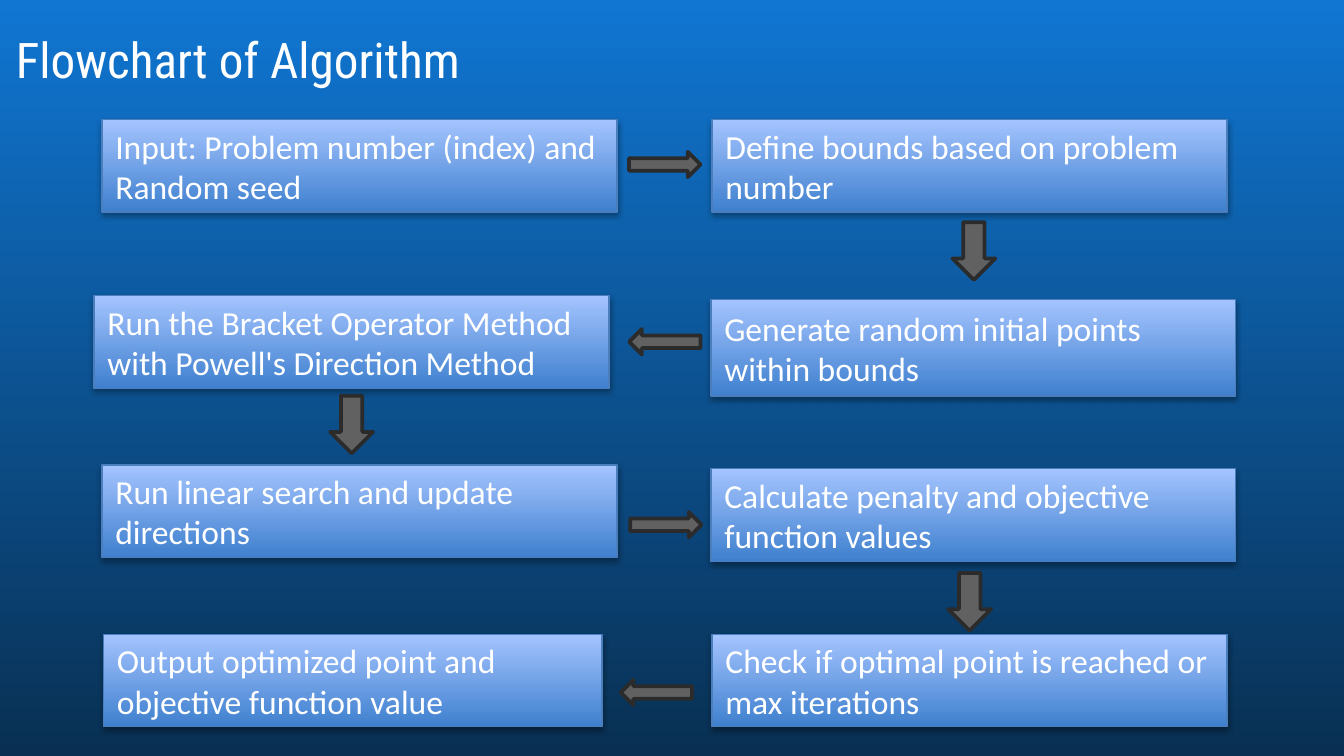
from lxml import etree
from pptx import Presentation
from pptx.dml.color import RGBColor
from pptx.enum.shapes import MSO_SHAPE
from pptx.enum.text import MSO_ANCHOR, PP_ALIGN
from pptx.oxml.ns import qn
from pptx.util import Cm, Pt

RECTANGLE = MSO_SHAPE.RECTANGLE
RIGHT_ARROW = MSO_SHAPE.RIGHT_ARROW
MIDDLE = MSO_ANCHOR.MIDDLE
BOTTOM = MSO_ANCHOR.BOTTOM
LEFT = PP_ALIGN.LEFT
CENTER = PP_ALIGN.CENTER

COLORS = {
    "background_top": "1076D2",
    "background_bottom": "093053",
    "step_bottom": "3F80CE",
    "step_top": "A4C4FF",
    "step_line": "4B7EBC",
    "arrow": "616161",
    "arrow_line": "2B2B2B",
    "text": "FFFFFF",
    "shadow": "000000",
}

STEP_HEIGHT = 1.75
STEPS = [
    ("Input: Problem number (index) and Random seed", 1.93, 2.26, 9.73, STEP_HEIGHT),
    ("Define bounds based on problem number", 13.46, 2.26, 9.73, STEP_HEIGHT),
    ("Generate random initial points within bounds", 13.44, 5.66, 9.91, 1.83),
    ("Run the Bracket Operator Method with Powell's Direction Method",
     1.78, 5.59, 9.73, STEP_HEIGHT),
    ("Run linear search and update directions", 1.93, 8.79, 9.73, STEP_HEIGHT),
    ("Calculate penalty and objective function values", 13.44, 8.86, 9.91, STEP_HEIGHT),
    ("Check if optimal point is reached or max iterations", 13.46, 11.99, 9.73, STEP_HEIGHT),
    ("Output optimized point and objective function value", 1.96, 11.99, 9.42, STEP_HEIGHT),
]

ARROW_SIZES = {0: (1.35, 0.48), 180: (1.35, 0.48), 90: (1.09, 0.81)}
ARROWS = [
    (11.89, 2.87, 0),
    (11.89, 6.22, 180),
    (11.73, 12.85, 180),
    (11.91, 9.68, 0),
    (17.86, 4.34, 90),
    (6.1, 7.62, 90),
    (17.78, 10.97, 90),
]


def color(name):
    return RGBColor.from_string(COLORS[name])


def set_attributes(target, values):
    for name, value in values.items():
        setattr(target, name, value)


def fill_gradient(fill, angle, names):
    fill.gradient()
    fill.gradient_angle = angle
    for stop, name, position in zip(fill.gradient_stops, names, (0, 1)):
        stop.color.rgb = color(name)
        stop.position = position


def set_line(shape, name, width):
    shape.line.color.rgb = color(name)
    shape.line.width = Pt(width)


def add_shadow(shape):
    effects = shape._element.spPr.find(qn("a:effectLst"))
    shadow = etree.SubElement(effects, qn("a:outerShdw"), {
        "blurRad": str(Pt(3.1)), "dist": str(Pt(1.8)),
        "dir": "5400000", "rotWithShape": "0",
    })
    shade = etree.SubElement(shadow, qn("a:srgbClr"), val=COLORS["shadow"])
    etree.SubElement(shade, qn("a:alpha"), val="35000")


def write_text(shape, text, font_name, size, anchor, alignment):
    frame = shape.text_frame
    set_attributes(frame, {"word_wrap": True, "vertical_anchor": anchor})
    paragraph = frame.paragraphs[0]
    paragraph.alignment = alignment
    run = paragraph.add_run()
    run.text = text
    set_attributes(run.font, {"name": font_name, "size": Pt(size)})
    run.font.color.rgb = color("text")


def add_title(slide, text):
    shape = slide.shapes.add_textbox(Cm(-1.7), Cm(0.03), Cm(12.4), Cm(1.9))
    write_text(shape, text, "Roboto Condensed", 26.3, BOTTOM, CENTER)
    margins = ("margin_left", "margin_top", "margin_right", "margin_bottom")
    set_attributes(shape.text_frame, dict.fromkeys(margins, Cm(0.25)))


def add_step(slide, text, left, top, width, height):
    shape = slide.shapes.add_shape(RECTANGLE, Cm(left), Cm(top), Cm(width), Cm(height))
    shape.shadow.inherit = False
    fill_gradient(shape.fill, 90, ("step_bottom", "step_top"))
    set_line(shape, "step_line", 0.75)
    add_shadow(shape)
    write_text(shape, text, "Calibri", 18, MIDDLE, LEFT)


def add_arrow(slide, left, top, rotation):
    width, height = ARROW_SIZES[rotation]
    shape = slide.shapes.add_shape(RIGHT_ARROW, Cm(left), Cm(top), Cm(width), Cm(height))
    shape.shadow.inherit = False
    shape.rotation = rotation
    shape.fill.solid()
    shape.fill.fore_color.rgb = color("arrow")
    set_line(shape, "arrow_line", 2)


def main():
    presentation = Presentation()
    set_attributes(presentation, {"slide_width": Cm(25.4), "slide_height": Cm(14.29)})
    slide = presentation.slides.add_slide(presentation.slide_layouts[6])
    fill_gradient(slide.background.fill, 270, ("background_top", "background_bottom"))
    for step in STEPS:
        add_step(slide, *step)
    add_title(slide, "Flowchart of Algorithm")
    for arrow in ARROWS:
        add_arrow(slide, *arrow)
    presentation.save("out.pptx")


if __name__ == "__main__":
    main()
